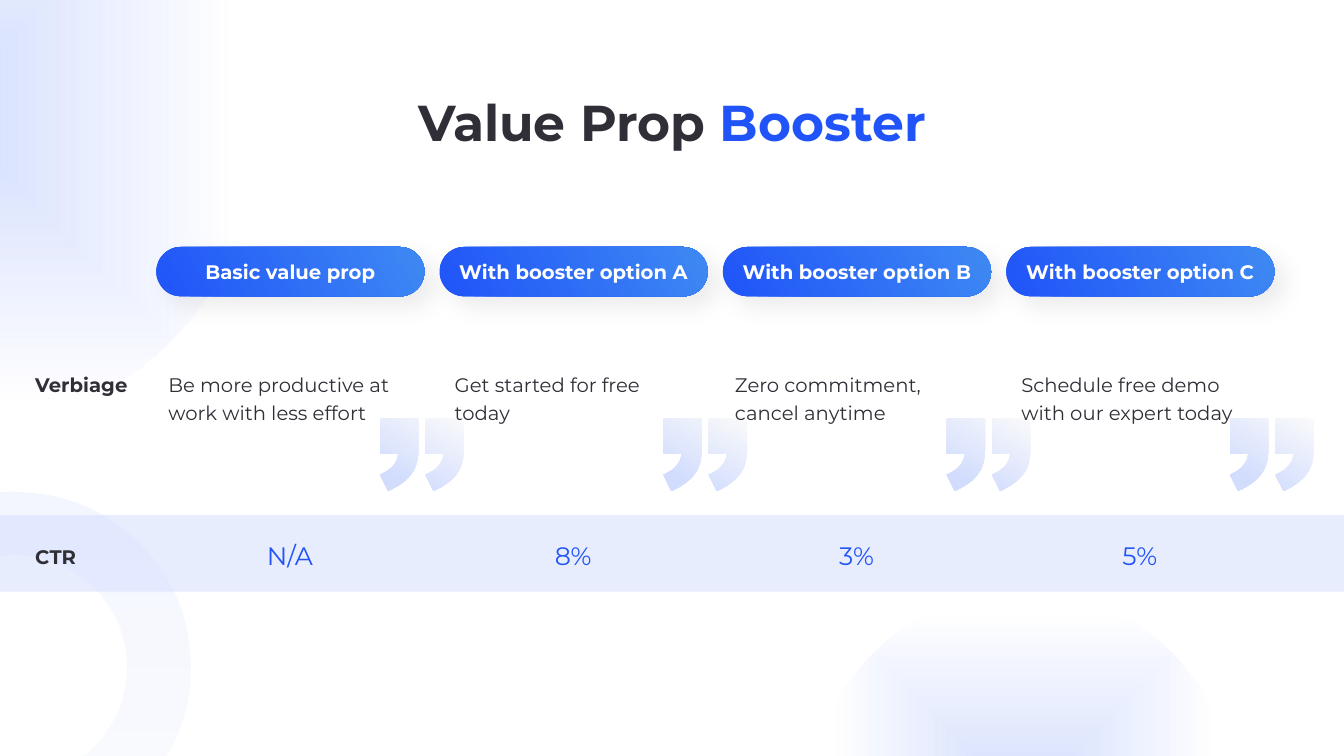
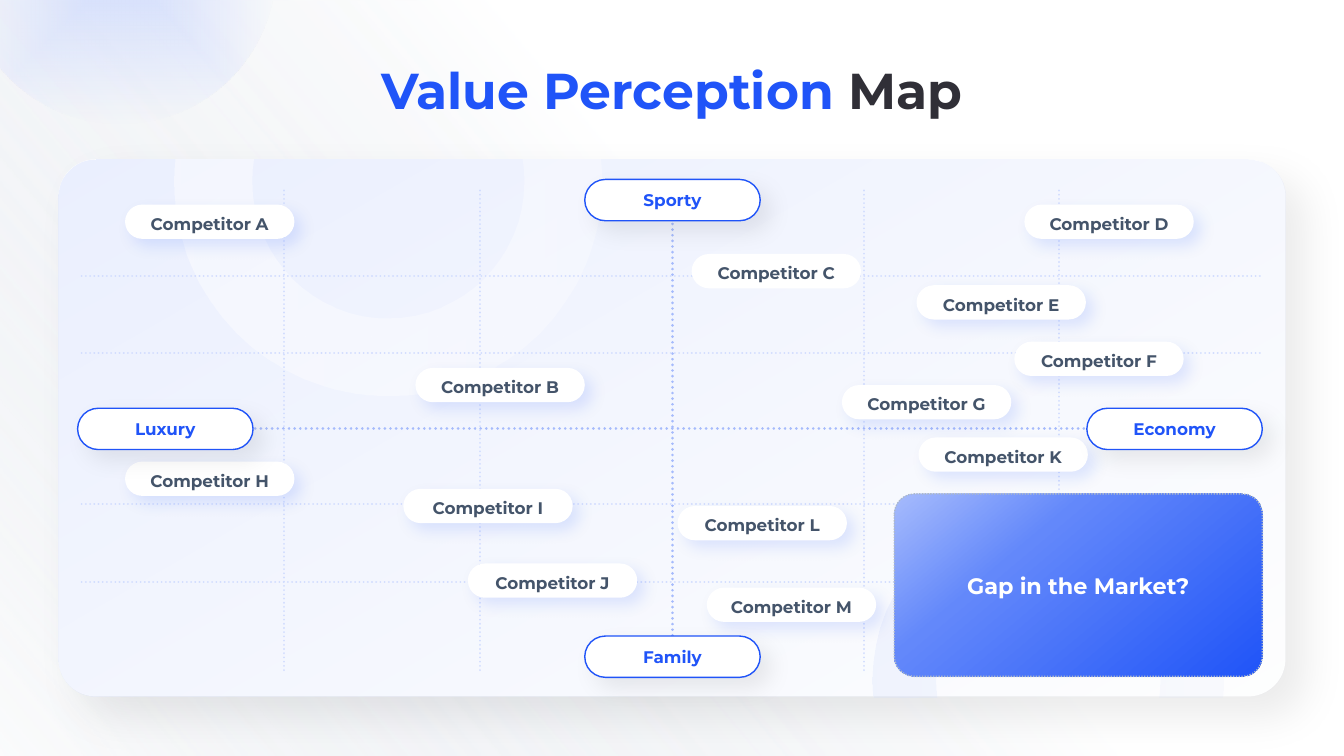
import math

from pptx import Presentation
from pptx.dml.color import RGBColor
from pptx.enum import dml, shapes, text
from pptx.oxml import parse_xml
from pptx.oxml.ns import nsdecls, qn
from pptx.util import Inches, Pt

# Shared style
FONT = "Montserrat"
INK = RGBColor(0x30, 0x2F, 0x37)
SLATE = RGBColor(0x44, 0x54, 0x6A)
BLUE = RGBColor(0x20, 0x54, 0xF8)
SKY = RGBColor(0x3E, 0x89, 0xF3)
MID_BLUE = RGBColor(0x63, 0x88, 0xFA)
SOFT_BLUE = RGBColor(0xA6, 0xBB, 0xFC)
PALE_BLUE = RGBColor(0xD2, 0xDD, 0xFE)
GRAY = RGBColor(0xD6, 0xDC, 0xE5)
EDGE_GRAY = RGBColor(0xAD, 0xB9, 0xCA)
OFF_WHITE = RGBColor(0xFA, 0xFA, 0xFA)
WHITE = RGBColor(0xFF, 0xFF, 0xFF)
BLACK = RGBColor(0, 0, 0)

SLIDE_W, SLIDE_H = 13.33, 7.5
RECT = shapes.MSO_SHAPE.RECTANGLE
ROUNDED = shapes.MSO_SHAPE.ROUNDED_RECTANGLE
OVAL = shapes.MSO_SHAPE.OVAL
LEFT, CENTER = text.PP_ALIGN.LEFT, text.PP_ALIGN.CENTER
TOP, MIDDLE = text.MSO_ANCHOR.TOP, text.MSO_ANCHOR.MIDDLE

# Shadows: colour, opacity %, blur pt, distance pt
CARD_SHADOW = (BLACK, 8, 30, 20)
PILL_SHADOW = (BLACK, 8, 17, 10)
LABEL_SHADOW = (BLUE, 12, 11, 7)

# Gradients: stops of (position %, colour, opacity %), and a clockwise angle
# or None for a gradient that spreads from the centre
GLOW = ([(0, PALE_BLUE, 100), (89, PALE_BLUE, 0)], None)
WIDE_GLOW = ([(0, PALE_BLUE, 100), (100, PALE_BLUE, 0)], None)
PILL_FILL = ([(0, BLUE, 100), (100, SKY, 100)], 330)
QUOTE_FILL = ([(0, OFF_WHITE, 100), (83, PALE_BLUE, 100)], 120)
RING_STOPS = [(0, PALE_BLUE, 10), (100, PALE_BLUE, 25)]

# One quote mark: each step is a list of one point (line) or three (curve)
QUOTE_MARK = [
    [(0, 0)], [(0.38, 0)], [(0.38, 0.29)],
    [(0.38, 0.4), (0.36, 0.49), (0.31, 0.55)],
    [(0.27, 0.61), (0.19, 0.67), (0.08, 0.72)],
    [(0, 0.56)],
    [(0.07, 0.53), (0.11, 0.5), (0.14, 0.46)],
    [(0.16, 0.43), (0.18, 0.39), (0.18, 0.35)],
    [(0, 0.35)],
]


# Fills, shadows and text
def color_xml(color, opacity):
    return (f'<a:srgbClr {nsdecls("a")} val="{color}">'
            f'<a:alpha val="{opacity * 1000}"/></a:srgbClr>')


def fill_gradient(shape, stops, angle):
    shape.fill.gradient()
    gradient = shape._element.spPr.find(qn("a:gradFill"))
    stop_xml = "".join(f'<a:gs pos="{pos * 1000}">{color_xml(color, opacity)}</a:gs>'
                       for pos, color, opacity in stops)
    if angle is None:
        spread = ('<a:path path="shape"><a:fillToRect l="50000" t="50000" '
                  'r="50000" b="50000"/></a:path>')
    else:
        spread = f'<a:lin ang="{angle * 60000}" scaled="0"/>'
    gradient.getparent().replace(gradient, parse_xml(
        f'<a:gradFill {nsdecls("a")} rotWithShape="1">'
        f'<a:gsLst>{stop_xml}</a:gsLst>{spread}</a:gradFill>'))


def style(shape, fill, opacity=100, line=None, line_width=1, dash=None, shadow=None):
    """Fill is a colour or a gradient of (stops, angle)."""
    if isinstance(fill, RGBColor):
        shape.fill.solid()
        shape.fill.fore_color.rgb = fill
        if opacity < 100:
            solid = shape._element.spPr.find(qn("a:solidFill"))
            solid.replace(solid[0], parse_xml(color_xml(fill, opacity)))
    else:
        fill_gradient(shape, *fill)
    if line is None:
        shape.line.fill.background()
    else:
        shape.line.color.rgb = line
        shape.line.width = Pt(line_width)
        if dash:
            shape.line.dash_style = dash
    shape.shadow.inherit = False
    if shadow:
        color, shade, blur, distance = shadow
        effects = shape._element.spPr.find(qn("a:effectLst"))
        effects.append(parse_xml(
            f'<a:outerShdw {nsdecls("a")} blurRad="{Pt(blur)}" dist="{Pt(distance)}" '
            f'dir="2700000" algn="tl" rotWithShape="0">{color_xml(color, shade)}'
            '</a:outerShdw>'))


def write(shape, *parts, size=14, bold=False, color=INK, align=LEFT, anchor=TOP,
          spacing=None):
    """Each part is a string, or a (string, colour) pair."""
    frame = shape.text_frame
    frame.word_wrap = True
    frame.auto_size = text.MSO_AUTO_SIZE.NONE
    frame.vertical_anchor = anchor
    frame.margin_left = frame.margin_right = 0
    frame.margin_top = frame.margin_bottom = 0
    paragraph = frame.paragraphs[0]
    paragraph.alignment = align
    if spacing:
        paragraph.line_spacing = spacing
    for part in parts:
        words, part_color = (part, color) if isinstance(part, str) else part
        run = paragraph.add_run()
        run.text = words
        run.font.name = FONT
        run.font.size = Pt(size)
        run.font.bold = bold
        run.font.color.rgb = part_color


# Kinds of element
def add_block(slide, kind, x, y, w, h, fill, corner=None, **look):
    block = slide.shapes.add_shape(kind, Inches(x), Inches(y), Inches(w), Inches(h))
    if corner is not None:
        block.adjustments[0] = corner
    style(block, fill, **look)
    return block


def add_text(slide, x, y, w, h, *parts, **form):
    box = slide.shapes.add_textbox(Inches(x), Inches(y), Inches(w), Inches(h))
    write(box, *parts, spacing=1.2, **form)


def add_title(slide, y, *parts):
    title = slide.shapes.title
    title.left, title.top = Inches(0.58), Inches(y)
    title.width, title.height = Inches(12.17), Inches(1)
    write(title, *parts, size=36, bold=True, align=CENTER)
    slide.shapes._spTree.append(title._element)  # in front of the backdrop


def add_outline(slide, contours, fill):
    """Each contour is a list of steps; curves must reach their extremes at ends."""
    contours = [[[(Inches(x), Inches(y)) for x, y in step] for step in contour]
                for contour in contours]
    builder = slide.shapes.build_freeform(*contours[0][0][-1])
    for i, contour in enumerate(contours):
        if i:
            builder.move_to(*contour[0][-1])
        builder.add_line_segments([step[-1] for step in contour[1:]], close=True)
    outline = builder.convert_to_shape()

    # Bend the segments that are curves
    segments = list(outline._element.iter(qn("a:lnTo")))
    steps = [step for contour in contours for step in contour[1:]]
    for segment, step in zip(segments, steps):
        if len(step) == 3:
            points = "".join(f'<a:pt x="{x - outline.left}" y="{y - outline.top}"/>'
                             for x, y in step)
            segment.getparent().replace(segment, parse_xml(
                f'<a:cubicBezTo {nsdecls("a")}>{points}</a:cubicBezTo>'))
    style(outline, fill)


def add_cut_ring(slide, cx, cy, outer, inner, facing, cut, fill):
    """A ring whose side away from `facing` is cut off `cut` past its centre."""
    def arc(radius, turn):
        half = 90 + math.degrees(math.asin(cut / radius))
        angles = [math.radians(facing + turn * offset)
                  for offset in (-half, -90, 0, 90, half)]

        def at(angle, tangent=0):
            return (cx + radius * (math.cos(angle) - tangent * math.sin(angle)),
                    cy + radius * (math.sin(angle) + tangent * math.cos(angle)))

        steps = [[at(angles[0])]]
        for start, stop in zip(angles, angles[1:]):
            pull = 4 / 3 * math.tan((stop - start) / 4)
            steps.append([at(start, pull), at(stop, -pull), at(stop)])
        return steps

    add_outline(slide, [arc(outer, 1) + arc(inner, -1)], fill)


def add_quote_marks(slide, x, y):
    add_outline(slide, [[[(x + shift + px, y + py) for px, py in step]
                         for step in QUOTE_MARK] for shift in (0, 0.45)], QUOTE_FILL)


def add_dotted_line(slide, x1, y1, x2, y2, color=PALE_BLUE, width=1.5):
    dotted = slide.shapes.add_connector(
        shapes.MSO_CONNECTOR.STRAIGHT, Inches(x1), Inches(y1), Inches(x2), Inches(y2))
    dotted.line.color.rgb = color
    dotted.line.width = Pt(width)
    dotted.line.dash_style = dml.MSO_LINE.ROUND_DOT
    properties = dotted._element.spPr
    properties.find(qn("a:ln")).set("cap", "rnd")
    properties.append(parse_xml(f'<a:effectLst {nsdecls("a")}/>'))


# Slides
def build_booster(slide):
    first_column, pitch = 1.55, 2.81
    options = [
        ("Basic value prop", 1.67, "Be more productive at work with less effort", "N/A"),
        ("With booster option A", 4.51, "Get started for free today", "8%"),
        ("With booster option B", 7.29, "Zero commitment, cancel anytime", "3%"),
        ("With booster option C", 10.13, "Schedule free demo with our expert today", "5%"),
    ]

    # Backdrop and rate band
    add_block(slide, OVAL, -3.88, -2.19, 6.52, 6.52, GLOW)
    add_cut_ring(slide, 0.15, 6.62, 1.74, 1.11, 0, 0.18, (RING_STOPS, 270))
    add_block(slide, RECT, 0, 5.11, SLIDE_W, 0.76, PALE_BLUE, opacity=50)
    add_block(slide, OVAL, 8.05, 5.87, 4.18, 4.18, GLOW)
    add_title(slide, 0.9, "Value Prop ", ("Booster", BLUE))

    # Row labels
    add_text(slide, 0.35, 3.65, 0.93, 0.26, "Verbiage", bold=True)
    add_text(slide, 0.35, 5.37, 0.93, 0.26, "CTR", bold=True, anchor=MIDDLE)

    # One column for each option
    for i, (heading, verbiage_x, verbiage, rate) in enumerate(options):
        x = first_column + i * pitch
        add_quote_marks(slide, x + 2.22, 4.15)
        add_text(slide, verbiage_x, 3.65, 2.3, 0.67, verbiage)
        pill = add_block(slide, ROUNDED, x, 2.45, 2.66, 0.49, PILL_FILL, corner=0.5,
                         shadow=PILL_SHADOW)
        write(pill, heading, bold=True, color=WHITE, align=CENTER, anchor=MIDDLE)
        add_text(slide, x + 0.98, 5.35, 0.69, 0.26, rate, size=18, color=BLUE,
                 align=CENTER, anchor=MIDDLE)


def build_map(slide):
    competitors = {
        "A": (1.24, 2.03), "B": (4.12, 3.65), "C": (6.86, 2.52), "D": (10.16, 2.03),
        "E": (9.09, 2.83), "F": (10.06, 3.39), "G": (8.35, 3.82), "H": (1.24, 4.58),
        "I": (4, 4.85), "J": (4.64, 5.59), "K": (9.11, 4.34), "L": (6.72, 5.02),
        "M": (7.01, 5.83),
    }
    axis_ends = {"Luxury": (0.77, 4.05), "Sporty": (5.8, 1.78),
                 "Family": (5.8, 6.31), "Economy": (10.78, 4.05)}
    panel = (0.58, 1.58, 12.17, 5.33)

    # Backdrop and panel
    add_block(slide, RECT, -0.35, 0, SLIDE_W, SLIDE_H,
              ([(41, WHITE, 100), (98, GRAY, 10)], 140))
    add_block(slide, OVAL, -0.35, -1.85, 3.08, 3.08, WIDE_GLOW)
    add_title(slide, 0.59, ("Value Perception ", BLUE), "Map")
    add_block(slide, ROUNDED, *panel, WHITE, corner=0.07, shadow=CARD_SHADOW)
    add_block(slide, ROUNDED, *panel,
              ([(0, PALE_BLUE, 45), (100, PALE_BLUE, 2)], 60), corner=0.07)
    add_cut_ring(slide, 3.85, 1.8, 2.12, 1.35, 90, 0.22,
                 ([(0, WHITE, 48), (100, WHITE, 35)], 0))
    add_cut_ring(slide, 10.39, 6.74, 1.74, 1.11, -90, 0.18, (RING_STOPS, 180))

    # Axes and grid
    add_dotted_line(slide, 2.14, 4.25, 11.19, 4.25, SOFT_BLUE, 2)
    add_dotted_line(slide, 6.67, 2.11, 6.67, 6.44, SOFT_BLUE, 2)
    for y in (2.74, 3.5, 5, 5.77):
        add_dotted_line(slide, 0.81, y, 12.52, y)
    for x in (2.82, 4.76, 8.57, 10.5):
        add_dotted_line(slide, x, 1.89, x, 6.65)

    # Market gap
    gap = add_block(slide, ROUNDED, 8.87, 4.9, 3.65, 1.81,
                    ([(0, SOFT_BLUE, 100), (33, MID_BLUE, 100), (100, BLUE, 100)], 50),
                    corner=0.11, line=EDGE_GRAY, dash=dml.MSO_LINE.ROUND_DOT)
    write(gap, "Gap in the Market?", size=16, bold=True, color=WHITE, align=CENTER,
          anchor=MIDDLE)

    # Competitors and ends of the axes
    for letter, (x, y) in competitors.items():
        label = add_block(slide, ROUNDED, x, y, 1.68, 0.34, WHITE, corner=0.5,
                          shadow=None if letter == "C" else LABEL_SHADOW)
        write(label, f"Competitor {letter}", size=12, bold=True, color=SLATE,
              align=CENTER, anchor=MIDDLE, spacing=1.2)
    for name, (x, y) in axis_ends.items():
        end = add_block(slide, ROUNDED, x, y, 1.74, 0.41, WHITE, corner=0.5, line=BLUE,
                        shadow=PILL_SHADOW)
        write(end, name, size=12, bold=True, color=BLUE, align=CENTER, anchor=MIDDLE)


def main():
    deck = Presentation()
    deck.slide_width, deck.slide_height = Inches(SLIDE_W), Inches(SLIDE_H)
    title_only = deck.slide_layouts[5]
    for build in (build_booster, build_map):
        build(deck.slides.add_slide(title_only))
    deck.save("out.pptx")


if __name__ == "__main__":
    main()
